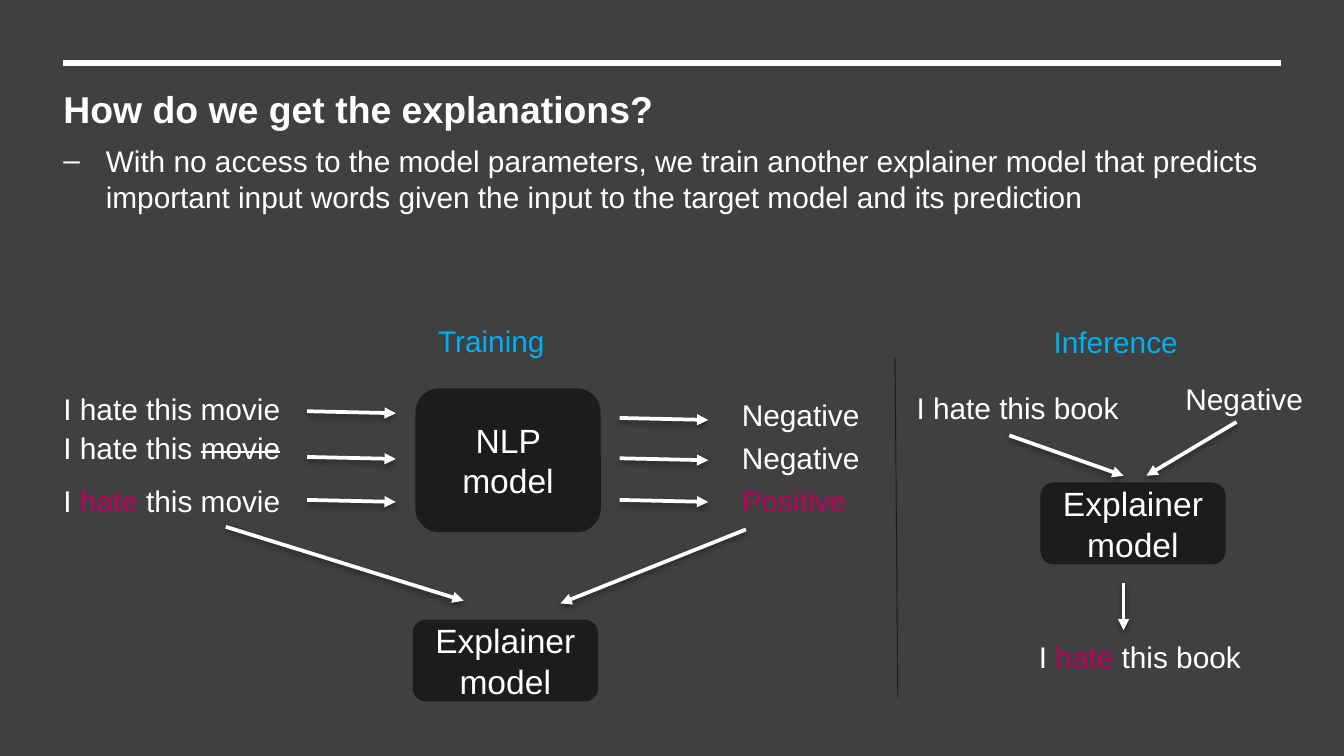
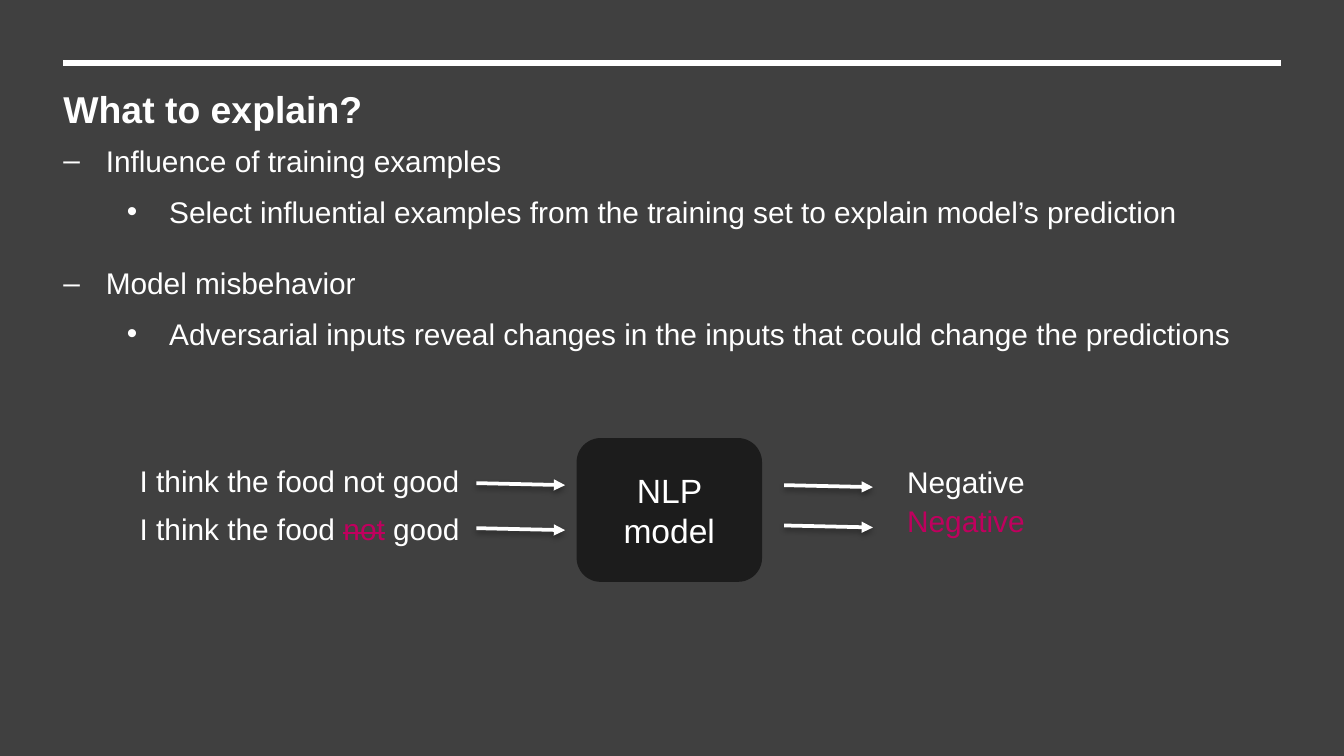
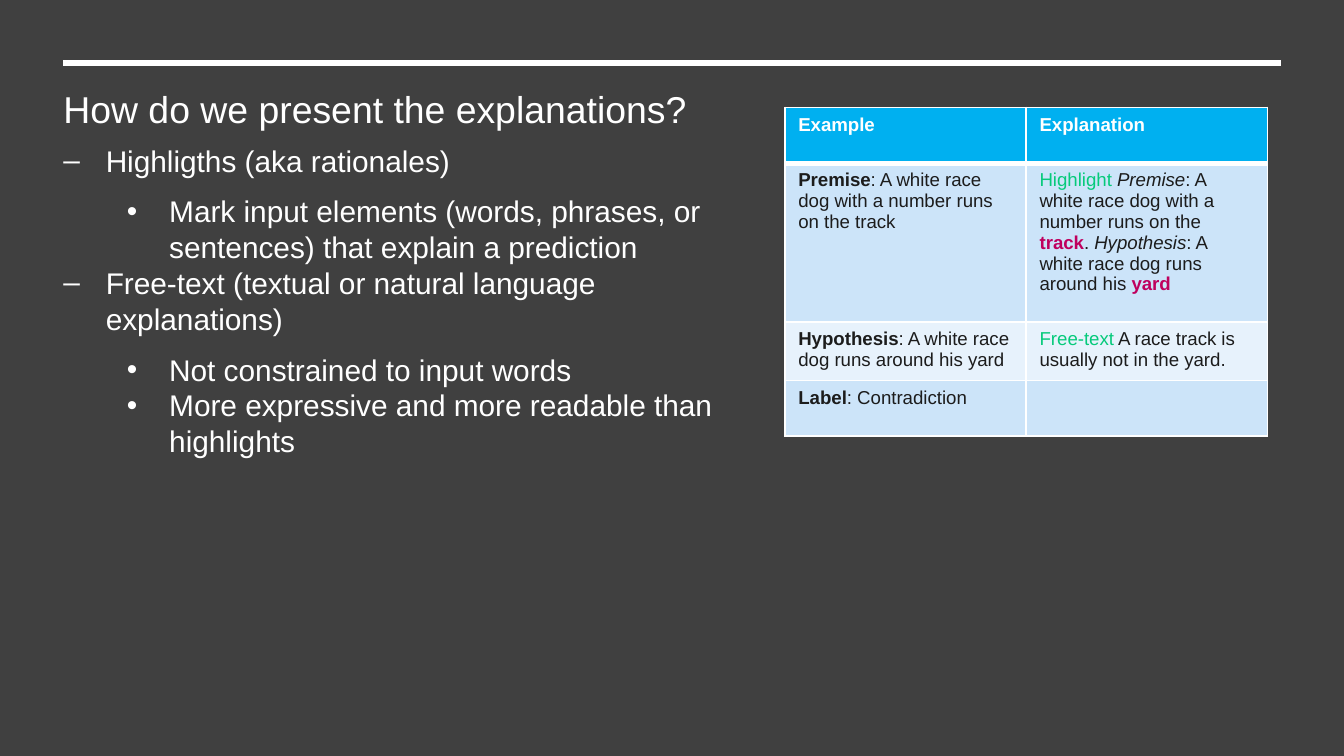
import pptx
import pptx.dml.color
import pptx.enum.shapes
import pptx.enum.text
import pptx.oxml
import pptx.oxml.ns
import pptx.util

COLORS = {
    "ground": "404040", "white": "FFFFFF", "dark": "1C1C1C",
    "blue": "00B0F0", "pink": "BF005E", "green": "06CA7B",
    "band": "CCE4F9", "pale": "E7F2FC",
}
FONT = "Arial"
NAMESPACE = pptx.oxml.ns.nsdecls("a")
MARGIN, CONTENT = 4.72, 90.56  # in columns
INDENTS = (22.7, 56.7)  # in points, by bullet level
SHADOW = (
    '<a:outerShdw blurRad="40000" dist="20000" dir="5400000" rotWithShape="0">'
    '<a:srgbClr val="000000"><a:alpha val="38000"/></a:srgbClr></a:outerShdw>'
)

deck = pptx.Presentation()
deck.slide_width = pptx.util.Inches(10)
deck.slide_height = deck.slide_width * 9 // 16
UNIT = deck.slide_width / 100  # square grid: a column and a row are equal


def write(para, spans, size, color="white"):
    """Fill a paragraph with (text, styles) spans; styles are colours or effects."""
    for text, styles in [(spans, "")] if isinstance(spans, str) else spans:
        span = para.add_run()
        span.text = text
        names = styles.split()
        shade = next((name for name in names if name in COLORS), color)
        span.font.name = FONT
        span.font.size = pptx.util.Pt(size)
        span.font.color.rgb = pptx.dml.color.RGBColor.from_string(COLORS[shade])
        span.font.bold = "bold" in names
        span.font.italic = "italic" in names
        if "strike" in names:
            span._r.get_or_add_rPr().set("strike", "sngStrike")


def connect(page, start, end, color="white", weight=2, arrow=True):
    """Draw a line between two grid points, with a head and shadow if an arrow."""
    line = page.shapes.add_connector(
        pptx.enum.shapes.MSO_CONNECTOR.STRAIGHT,
        *(round(value * UNIT) for value in (*start, *end)))
    line.line.color.rgb = pptx.dml.color.RGBColor.from_string(COLORS[color])
    line.line.width = pptx.util.Pt(weight)
    if arrow:
        line.line._get_or_add_ln().append(
            pptx.oxml.parse_xml(f'<a:tailEnd {NAMESPACE} type="triangle"/>'))
    line._element.spPr.append(pptx.oxml.parse_xml(
        f'<a:effectLst {NAMESPACE}>{SHADOW if arrow else ""}</a:effectLst>'))


# Content: bullets are (level, space after, text); labels are (left, top, width, spans);
# models are (left, top, height, text); arrows are (start, end)
slides = [
    {
        "title": [("How do we get the explanations?", "bold")],
        "body": (92.9, 8.1),
        "bullets": [(1, 8, "With no access to the model parameters, we train another "
                     "explainer model that predicts important input words given the "
                     "input to the target model and its prediction")],
        "models": [(30.9, 28.9, 10.7, "NLP model"),
                   (30.7, 46.1, 6.1, "Explainer model"),
                   (77.4, 35.9, 6.1, "Explainer model")],
        "labels": [
            (32.6, 24, 9.2, [("Training", "blue")]),
            (78.4, 24.1, 10.6, [("Inference", "blue")]),
            (MARGIN, 29.1, 18.7, "I hate this movie"),
            (MARGIN, 32, 18.7, [("I hate this ", ""), ("movie", "strike")]),
            (MARGIN, 35.9, 18.7, [("I ", ""), ("hate", "pink"), (" this movie", "")]),
            (55.2, 29.5, 9.2, "Negative"),
            (55.2, 32.7, 9.2, "Negative"),
            (55.2, 35.9, 9.2, [("Positive", "pink")]),
            (68.2, 29, 18.7, "I hate this book"),
            (88.2, 28.3, 9.2, "Negative"),
            (77.3, 47.5, 17.9, [("I ", ""), ("hate", "pink"), (" this book", "")]),
        ],
        "arrows": [
            *(((22.85, y), (29.45, y + 0.15)) for y in (30.6, 34, 37.2)),
            *(((46.1, y), (52.7, y + 0.15)) for y in (31.1, 34.1, 37.2)),
            ((16.8, 39.2), (34.5, 44.7)),
            ((55.5, 39.4), (41.7, 44.9)),
            ((75.1, 32.4), (83.6, 35.4)),
            ((92, 31.4), (85.3, 35.4)),
            ((83.6, 43.4), (83.6, 46.9)),
        ],
    },
    {
        "title": [("What to explain?", "bold")],
        "body": (CONTENT, 17.9),
        "bullets": [
            (1, 8, "Influence of training examples"),
            (2, 19.3, "Select influential examples from the training set to explain "
             "model’s prediction"),
            (1, 8, "Model misbehavior"),
            (2, 0, "Adversarial inputs reveal changes in the inputs that could change "
             "the predictions"),
        ],
        "models": [(42.9, 32.6, 10.7, "NLP model")],
        "labels": [
            (10.4, 34.4, 25.7, "I think the food not good"),
            (10.4, 38, 25.7,
             [("I think the food ", ""), ("not", "pink strike"), (" good", "")]),
            (67.5, 34.5, 9.2, "Negative"),
            (67.5, 37.4, 9.2, [("Negative", "pink")]),
        ],
        "arrows": [
            *(((35.45, y), (42.05, y + 0.15)) for y in (35.95, 39.3)),
            *(((58.35, y), (64.95, y + 0.15)) for y in (36.1, 39.1)),
        ],
    },
    {
        "title": "How do we present the explanations?",
        "body": (52.7, 34),
        "bullets": [
            (1, 8, "Highligths (aka rationales)"),
            (2, 0, "Mark input elements (words, phrases, or sentences) that explain "
             "a prediction"),
            (1, 8, "Free-text (textual or natural language explanations)"),
            (2, 0, "Not constrained to input words"),
            (2, 0, "More expressive and more readable than highlights"),
        ],
        "models": [], "labels": [], "arrows": [],
    },
]

# Shared background
ground = deck.slide_master.background.fill
ground.solid()
ground.fore_color.rgb = pptx.dml.color.RGBColor.from_string(COLORS["ground"])

for content in slides:
    page = deck.slides.add_slide(deck.slide_layouts[6])
    connect(page, (MARGIN, 4.7), (MARGIN + CONTENT, 4.7), weight=3, arrow=False)

    # Text boxes: body, title and labels
    body_width, body_height = content["body"]
    texts = [
        (MARGIN, 10.6, body_width, body_height, content["bullets"], 16),
        (MARGIN, 4.2, CONTENT, 7.7, [(0, 8, content["title"])], 20),
        *((left, top, width, 3.4, [(0, 0, spans)], 16)
          for left, top, width, spans in content["labels"]),
    ]
    for left, top, width, height, lines, size in texts:
        box = page.shapes.add_textbox(
            *(round(value * UNIT) for value in (left, top, width, height)))
        frame = box.text_frame
        frame.word_wrap = True
        frame.margin_left = frame.margin_right = 0
        frame.margin_top = frame.margin_bottom = 0
        if size == 20:
            frame.vertical_anchor = pptx.enum.text.MSO_ANCHOR.MIDDLE
        for number, (level, after, spans) in enumerate(lines):
            para = frame.add_paragraph() if number else frame.paragraphs[0]
            para.space_after = pptx.util.Pt(after)
            write(para, spans, size)
            if level:
                para.level = level - 1
                settings = para._p.get_or_add_pPr()
                settings.set("marL", str(pptx.util.Pt(INDENTS[level - 1])))
                settings.set("indent", str(-pptx.util.Pt(INDENTS[0])))
                settings.append(pptx.oxml.parse_xml(
                    f'<a:buFont {NAMESPACE} typeface="{FONT}"/>'))
                settings.append(pptx.oxml.parse_xml(
                    f'<a:buChar {NAMESPACE} char="{"–•"[level - 1]}"/>'))

    # Model boxes
    for left, top, height, name in content["models"]:
        model = page.shapes.add_shape(
            pptx.enum.shapes.MSO_SHAPE.ROUNDED_RECTANGLE,
            *(round(value * UNIT) for value in (left, top, 13.8, height)))
        model.shadow.inherit = False
        model.fill.solid()
        model.fill.fore_color.rgb = pptx.dml.color.RGBColor.from_string(COLORS["dark"])
        model.line.fill.background()
        model.text_frame.word_wrap = True
        model.text_frame.vertical_anchor = pptx.enum.text.MSO_ANCHOR.MIDDLE
        para = model.text_frame.paragraphs[0]
        para.alignment = pptx.enum.text.PP_ALIGN.CENTER
        write(para, name, 18)

    for start, end in content["arrows"]:
        connect(page, start, end)

# Divider between training and inference
connect(deck.slides[0], (66.6, 26.6), (66.8, 51.9), "dark", 0.5, arrow=False)

# Table of explanation kinds
examples = [
    ("blue", 4.14, [("Example", "white bold")], [("Explanation", "white bold")]),
    ("band", 11.84,
     [("Premise", "bold"), (": A white race dog with a number runs on the track", "")],
     [("Highlight ", "green"), ("Premise", "italic"),
      (": A white race dog with a number runs on the ", ""), ("track", "pink bold"),
      (". ", ""), ("Hypothesis", "italic"),
      (": A white race dog runs around his ", ""), ("yard", "pink bold")]),
    ("pale", 4.14,
     [("Hypothesis", "bold"), (": A white race dog runs around his yard", "")],
     [("Free-text", "green"), (" A race track is usually not in the yard.", "")]),
    ("band", 4.14, [("Label", "bold"), (": Contradiction", "")], []),
]
table = deck.slides[2].shapes.add_table(
    len(examples), 2,
    *(round(value * UNIT) for value in (58.4, 8, 35.9, 24.26))).table
for row, (fill, height, *cells) in enumerate(examples):
    table.rows[row].height = round(height * UNIT)
    for column, spans in enumerate(cells):
        cell = table.cell(row, column)
        for side in "LRTB":
            weight = 3 if (row, side) in ((0, "B"), (1, "T")) else 1
            cell._tc.get_or_add_tcPr().append(pptx.oxml.parse_xml(
                f'<a:ln{side} {NAMESPACE} w="{pptx.util.Pt(weight)}"><a:solidFill>'
                f'<a:srgbClr val="{COLORS["white"]}"/></a:solidFill></a:ln{side}>'))
        cell.fill.solid()
        cell.fill.fore_color.rgb = pptx.dml.color.RGBColor.from_string(COLORS[fill])
        write(cell.text_frame.paragraphs[0], spans, 10, "dark")

deck.save("out.pptx")
